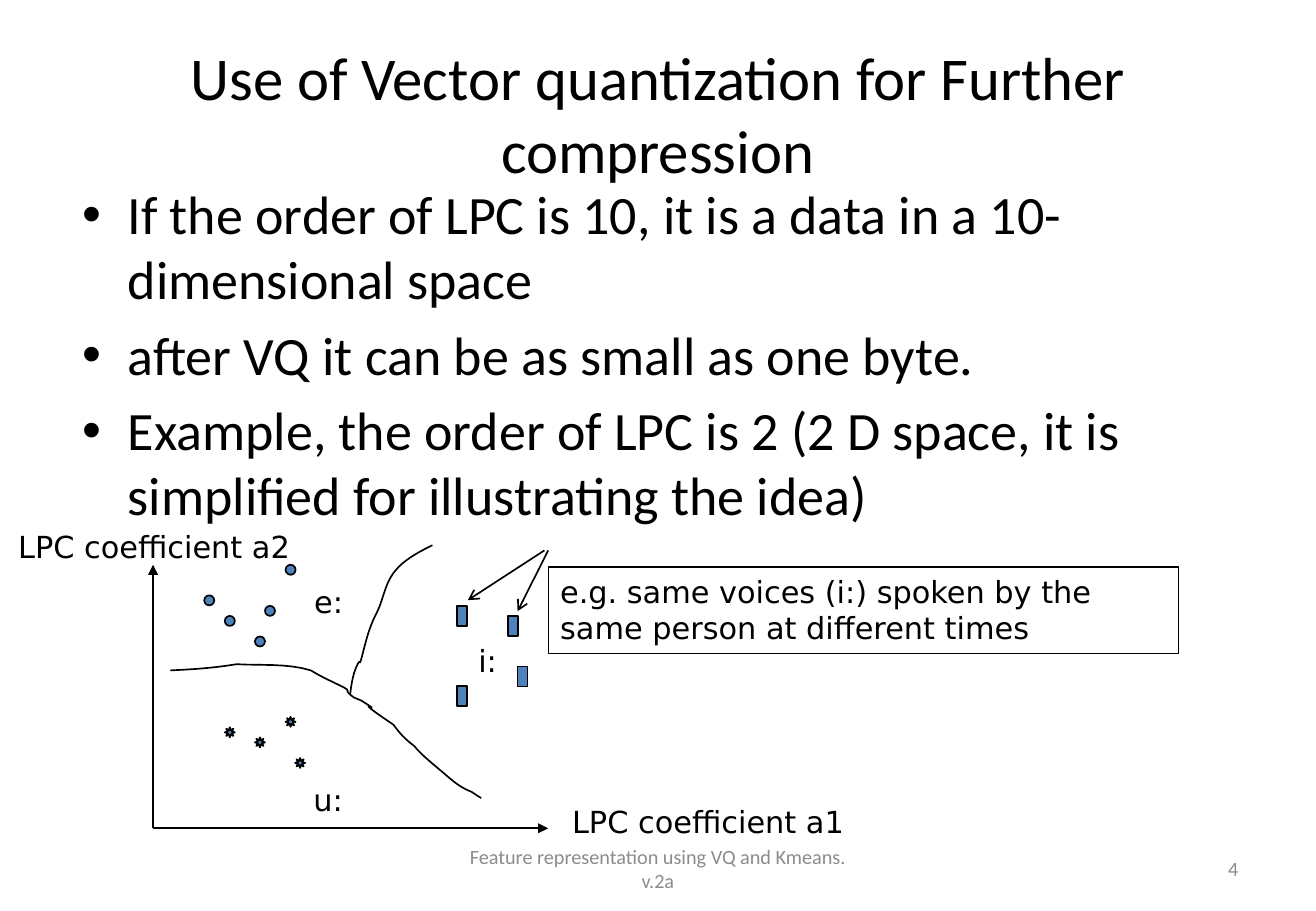
"""Build the slide on vector quantization of LPC coefficients."""
from lxml.etree import SubElement
from pptx import Presentation
from pptx.dml.color import RGBColor
from pptx.enum.shapes import MSO_CONNECTOR, MSO_SHAPE
from pptx.enum.text import MSO_ANCHOR, PP_ALIGN
from pptx.oxml.ns import qn
from pptx.util import Cm, Pt

BLACK = RGBColor(0x00, 0x00, 0x00)
BLUE = RGBColor(0x4F, 0x81, 0xBD)
GRAY = RGBColor(0x8C, 0x8C, 0x8C)

BULLETS = [
    "If the order of LPC is 10, it is a data in a 10-dimensional space",
    "after VQ it can be as small as one byte.",
    "Example, the order of LPC is 2 (2 D space, it is simplified for illustrating the idea)",
]
LABELS = [
    ("e:", 6.32, 12.07, 1.19),
    ("i:", 9.75, 13.31, 0.99),
    ("u:", 6.3, 16.21, 1.22),
    ("LPC coefficient a1", 11.71, 16.66, 6.25),
    ("LPC coefficient a2", 0.13, 10.92, 6.25),
]
E_SAMPLES = [(4.27, 12.45), (4.7, 12.88), (5.54, 12.67), (5.33, 13.31), (5.97, 11.81)]
I_SAMPLES = [(9.55, 12.67), (10.62, 12.88), (10.82, 13.94), (9.55, 14.35)]
U_SAMPLES = [(4.7, 15.21), (5.33, 15.42), (6.17, 15.85), (5.97, 14.99)]

LOWER_BOUNDARY = [
    (3.56, 14.02),
    (4.01, 14.0), (4.47, 13.97), (4.95, 13.89),
    (5.44, 13.92), (6.02, 13.87), (6.5, 14.02),
    (6.71, 14.15), (6.93, 14.25), (7.14, 14.35),
    (7.39, 14.48), (7.14, 14.4), (7.39, 14.58),
    (7.44, 14.61), (7.52, 14.63), (7.57, 14.66),
    (8.08, 14.99), (7.42, 14.58), (7.87, 14.91),
    (7.98, 14.99), (8.13, 15.09), (8.23, 15.16),
    (8.36, 15.34), (8.48, 15.47), (8.66, 15.6),
    (8.84, 15.82), (9.12, 16.03), (9.35, 16.23),
    (9.5, 16.36), (9.65, 16.48), (9.86, 16.56),
    (10.01, 16.66), (9.93, 16.61), (10.06, 16.69),
]
UPPER_BOUNDARY = [
    (7.32, 14.53),
    (7.34, 14.35), (7.37, 14.15), (7.44, 13.97),
    (7.57, 13.67), (7.49, 14.02), (7.57, 13.72),
    (7.65, 13.41), (7.72, 13.11), (7.87, 12.83),
    (8.05, 12.47), (8.03, 12.17), (8.33, 11.86),
    (8.53, 11.66), (8.79, 11.53), (9.04, 11.4),
]


def add_bullet(paragraph):
    """Give a paragraph a round bullet and a hanging indent."""
    properties = paragraph._p.get_or_add_pPr()
    properties.set("marL", str(Cm(0.95)))
    properties.set("indent", str(Cm(-0.95)))
    SubElement(properties, qn("a:buFont"), typeface="Arial")
    SubElement(properties, qn("a:buChar"), char="•")


def add_text(slide, text, left, top, width, height, *, size=18, font="DejaVu Sans",
             color=BLACK, align=PP_ALIGN.LEFT, anchor=MSO_ANCHOR.TOP, wrap=True,
             bullets=False, space_before=0):
    """Add a text box with one paragraph for each line of text."""
    box = slide.shapes.add_textbox(Cm(left), Cm(top), Cm(width), Cm(height))
    frame = box.text_frame
    frame.word_wrap = wrap
    frame.vertical_anchor = anchor
    frame.text = text
    for paragraph in frame.paragraphs:
        paragraph.alignment = align
        paragraph.space_before = Pt(space_before)
        run_font = paragraph.runs[0].font
        run_font.name = font
        run_font.size = Pt(size)
        run_font.color.rgb = color
        if bullets:
            add_bullet(paragraph)
    return box


def outline(shape, width=1):
    """Draw a black line of the given width in points."""
    shape.line.color.rgb = BLACK
    shape.line.width = Pt(width)


def add_samples(slide, kind, positions, width, height):
    """Add one blue marker at each position."""
    for left, top in positions:
        marker = slide.shapes.add_shape(kind, Cm(left), Cm(top), Cm(width), Cm(height))
        marker.shadow.inherit = False
        marker.fill.solid()
        marker.fill.fore_color.rgb = BLUE
        outline(marker)


def add_arrow(slide, start, end, head):
    """Add a straight arrow between two points."""
    points = [Cm(value) for value in start + end]
    arrow = slide.shapes.add_connector(MSO_CONNECTOR.STRAIGHT, *points)
    outline(arrow)
    SubElement(arrow.line._get_or_add_ln(), qn("a:tailEnd"), type=head)
    SubElement(arrow._element.spPr, qn("a:effectLst"))


def bezier_point(controls, t):
    """Return the point of a cubic curve at parameter t."""
    weights = ((1 - t) ** 3, 3 * t * (1 - t) ** 2, 3 * t ** 2 * (1 - t), t ** 3)
    return tuple(Cm(sum(weight * control[axis] for weight, control in zip(weights, controls)))
                 for axis in (0, 1))


def add_boundary(slide, controls, steps=8):
    """Add an open curve through a chain of cubic segments."""
    points = [bezier_point(controls[first:first + 4], step / steps)
              for first in range(0, len(controls) - 1, 3)
              for step in range(1, steps + 1)]
    left, top = controls[0]
    builder = slide.shapes.build_freeform(Cm(left), Cm(top))
    builder.add_line_segments(points, close=False)
    boundary = builder.convert_to_shape()
    boundary.shadow.inherit = False
    boundary.fill.background()
    outline(boundary)


def main():
    """Build and save the presentation."""
    presentation = Presentation()
    presentation.slide_width = Cm(27.51)
    presentation.slide_height = Cm(19.05)
    slide = presentation.slides.add_slide(presentation.slide_layouts[6])

    add_text(slide, "Use of Vector quantization for Further compression",
             1.37, 0.76, 24.77, 3.18, size=36, font="Calibri",
             align=PP_ALIGN.CENTER, anchor=MSO_ANCHOR.MIDDLE)
    add_text(slide, "\n".join(BULLETS), 1.47, 3.66, 24.77, 12.57, size=32,
             font="Calibri", bullets=True, space_before=6.4)

    origin = (3.2, 17.32)
    for axis_end in ((3.2, 11.81), (11.46, 17.32)):
        add_arrow(slide, origin, axis_end, "triangle")
    add_samples(slide, MSO_SHAPE.OVAL, E_SAMPLES, 0.21, 0.21)
    add_samples(slide, MSO_SHAPE.RECTANGLE, I_SAMPLES, 0.21, 0.42)
    add_samples(slide, MSO_SHAPE.SUN, U_SAMPLES, 0.21, 0.21)
    for controls in (LOWER_BOUNDARY, UPPER_BOUNDARY):
        add_boundary(slide, controls)
    for text, left, top, width in LABELS:
        add_text(slide, text, left, top, width, 1.02, wrap=False)

    callout = add_text(
        slide, "e.g. same voices (i:) spoken by the same person at different times",
        11.46, 11.86, 13.18, 1.8)
    outline(callout, 0.75)
    add_arrow(slide, (11.46, 11.51), (10.82, 12.78), "arrow")
    add_arrow(slide, (11.38, 11.51), (9.78, 12.55), "arrow")

    footer = {"size": 12, "font": "Calibri", "color": GRAY, "anchor": MSO_ANCHOR.MIDDLE}
    add_text(slide, "Feature representation using VQ and Kmeans. v.2a",
             9.4, 17.65, 8.71, 1.02, align=PP_ALIGN.CENTER, **footer)
    add_text(slide, "4", 19.71, 17.65, 6.43, 1.02, align=PP_ALIGN.RIGHT, **footer)
    presentation.save("out.pptx")


if __name__ == "__main__":
    main()
